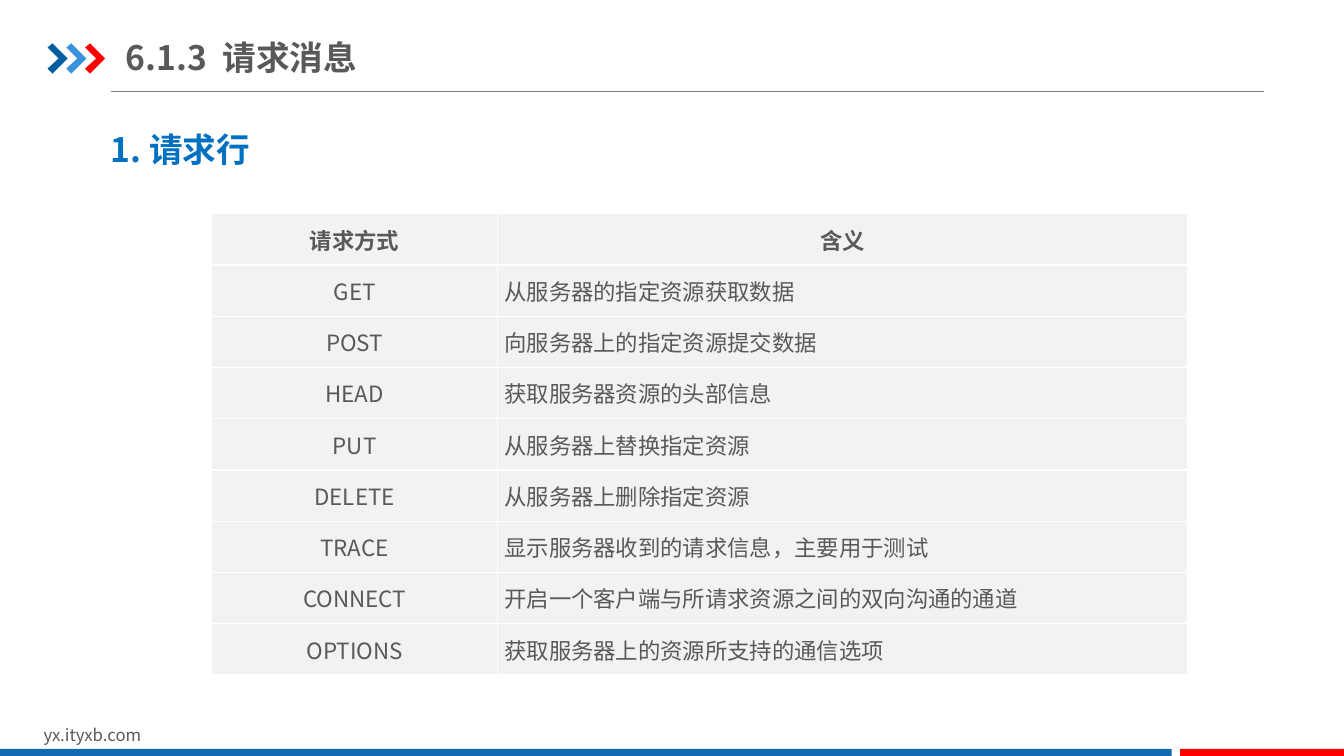
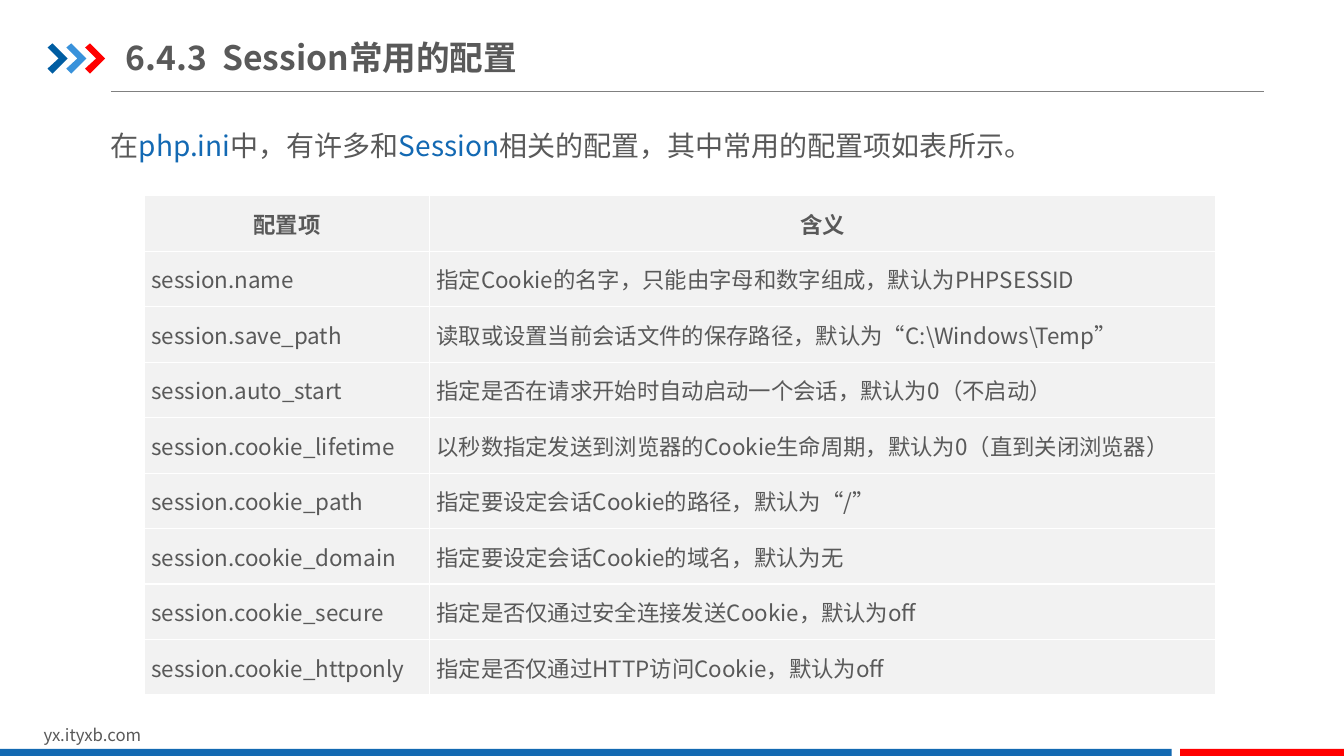
from lxml import etree
from pptx import Presentation, util as u
from pptx.dml import color
from pptx.enum import shapes, text
from pptx.oxml import ns

Pt = u.Pt
FONT = "Noto Sans CJK SC"
GREY, LINE, CELL, WHITE = "595959", "808080", "F2F2F2", "FFFFFF"
BLUE, RED, HEAD, WORD = "1369B2", "FF0000", "0070C0", "1369B3"
CHEVRONS = ["005DA2", "3992DB", RED]
CHEVRON = [(0, 3), (3.5, 0), (14.4, 10.8), (3.5, 21.6), (0, 18), (7.9, 10.8)]
LEFT, MID = text.PP_ALIGN.LEFT, text.PP_ALIGN.CENTER
JUST = text.PP_ALIGN.JUSTIFY

METHODS = [
    ("请求方式", "含义"),
    ("GET", "从服务器的指定资源获取数据"),
    ("POST", "向服务器上的指定资源提交数据"),
    ("HEAD", "获取服务器资源的头部信息"),
    ("PUT", "从服务器上替换指定资源"),
    ("DELETE", "从服务器上删除指定资源"),
    ("TRACE", "显示服务器收到的请求信息，主要用于测试"),
    ("CONNECT", "开启一个客户端与所请求资源之间的双向沟通的通道"),
    ("OPTIONS", "获取服务器上的资源所支持的通信选项"),
]
CONFIG = [
    ("配置项", "含义"),
    ("session.name", "指定Cookie的名字，只能由字母和数字组成，默认为PHPSESSID"),
    ("session.save_path", "读取或设置当前会话文件的保存路径，默认为“C:\\Windows\\Temp”"),
    ("session.auto_start", "指定是否在请求开始时自动启动一个会话，默认为0（不启动）"),
    ("session.cookie_lifetime", "以秒数指定发送到浏览器的Cookie生命周期，默认为0（直到关闭浏览器）"),
    ("session.cookie_path", "指定要设定会话Cookie的路径，默认为“/”"),
    ("session.cookie_domain", "指定要设定会话Cookie的域名，默认为无"),
    ("session.cookie_secure", "指定是否仅通过安全连接发送Cookie，默认为off"),
    ("session.cookie_httponly", "指定是否仅通过HTTP访问Cookie，默认为off"),
]


def rgb(code):
    """Turn a hex string into a colour."""
    return color.RGBColor.from_string(code)


def style(run, size, code, bold=False):
    """Set the font of a run, for Latin and Chinese text alike."""
    font = run.font
    font.size, font.bold, font.name = Pt(size), bold, FONT
    font.color.rgb = rgb(code)
    etree.SubElement(run._r.get_or_add_rPr(), ns.qn("a:ea"), typeface=FONT)


def paint(shape, code):
    """Give a shape a plain fill without line or shadow."""
    shape.fill.solid()
    shape.fill.fore_color.rgb = rgb(code)
    shape.line.fill.background()
    shape.shadow.inherit = False


def label(slide, box, parts, size, bold=False):
    """Add a text box holding one paragraph of (words, colour) parts."""
    frame = slide.shapes.add_textbox(*map(Pt, box)).text_frame
    frame.word_wrap = True
    para = frame.paragraphs[0]
    for words, code in parts:
        run = para.add_run()
        run.text = words
        style(run, size, code, bold)
    return frame


def band(slide, left, width, code):
    """Add one piece of the strip along the bottom edge."""
    rect = shapes.MSO_SHAPE.RECTANGLE
    paint(slide.shapes.add_shape(rect, Pt(left), Pt(535), Pt(width), Pt(5)), code)


def chevron(slide, left, top, code):
    """Add one arrow mark of the title."""
    spots = [(Pt(left + x), Pt(top + y)) for x, y in CHEVRON]
    path = slide.shapes.build_freeform(*spots[0], scale=1.0)
    path.add_line_segments(spots[1:], close=True)
    paint(path.convert_to_shape(), code)


def rule(slide):
    """Add the thin line under the title."""
    line = slide.shapes.add_connector(
        shapes.MSO_CONNECTOR.STRAIGHT, Pt(79.2), Pt(65.5), Pt(903), Pt(65.5))
    line.line.color.rgb = rgb(LINE)
    line.line.width = Pt(0.75)
    etree.SubElement(line._element.spPr, ns.qn("a:effectLst"))


def page(deck, title):
    """Add a slide with the shared title, marks and footer."""
    slide = deck.slides.add_slide(deck.slide_layouts[6])
    rule(slide)
    for i, code in enumerate(CHEVRONS):
        chevron(slide, 34 + 13.4 * i, 31, code)
    label(slide, (24, 514, 229, 22), [("yx.ityxb.com", GREY)], 12)
    band(slide, 0, 837, BLUE)
    band(slide, 843, 117, RED)
    frame = label(slide, (90, 21, 307, 40), [(title, GREY)], 24, True)
    frame.margin_left = frame.margin_right = 0
    frame.vertical_anchor = text.MSO_ANCHOR.MIDDLE
    return slide


def border(cell):
    """Draw white lines around a cell."""
    props = cell._tc.get_or_add_tcPr()
    for side in "LRTB":
        edge = etree.SubElement(props, ns.qn("a:ln" + side), w=str(Pt(1)))
        fill = etree.SubElement(edge, ns.qn("a:solidFill"))
        etree.SubElement(fill, ns.qn("a:srgbClr"), val=WHITE)


def fill_cell(cell, words, align, bold):
    """Write and format one table cell."""
    border(cell)
    cell.fill.solid()
    cell.fill.fore_color.rgb = rgb(CELL)
    cell.margin_left = cell.margin_right = Pt(5)
    cell.margin_top = cell.margin_bottom = 0
    cell.vertical_anchor = text.MSO_ANCHOR.MIDDLE
    para = cell.text_frame.paragraphs[0]
    para.text = words
    para.alignment = align
    style(para.runs[0], 16, GREY, bold)


def grid(slide, left, top, cols, high, rows, aligns):
    """Add a table with a bold, centred first row."""
    table = slide.shapes.add_table(
        len(rows), len(cols), Pt(left), Pt(top), Pt(sum(cols)), Pt(high * len(rows))).table
    table.first_row = table.horz_banding = False
    for col, width in zip(table.columns, cols):
        col.width = Pt(width)
    for r, row in enumerate(rows):
        table.rows[r].height = Pt(high)
        for c, words in enumerate(row):
            fill_cell(table.cell(r, c), words, aligns[c] if r else MID, r == 0)


def main():
    """Build and save the two slides."""
    deck = Presentation()
    deck.slide_width, deck.slide_height = Pt(960), Pt(540)

    slide = page(deck, "6.1.3  请求消息")
    grid(slide, 151.3, 152.7, (204, 493), 36.6, METHODS, (MID, JUST))
    label(slide, (72, 88.5, 315, 36), [("1. 请求行", HEAD)], 24, True)

    slide = page(deck, "6.4.3  Session常用的配置")
    intro = [("在", GREY), ("php.ini", WORD), ("中，有许多和", GREY),
             ("Session", WORD), ("相关的配置，其中常用的配置项如表所示。", GREY)]
    label(slide, (72, 88.5, 828, 32), intro, 20)
    grid(slide, 103.2, 139.8, (203.5, 561.5), 39.65, CONFIG, (JUST, JUST))

    deck.save("out.pptx")


if __name__ == "__main__":
    main()
